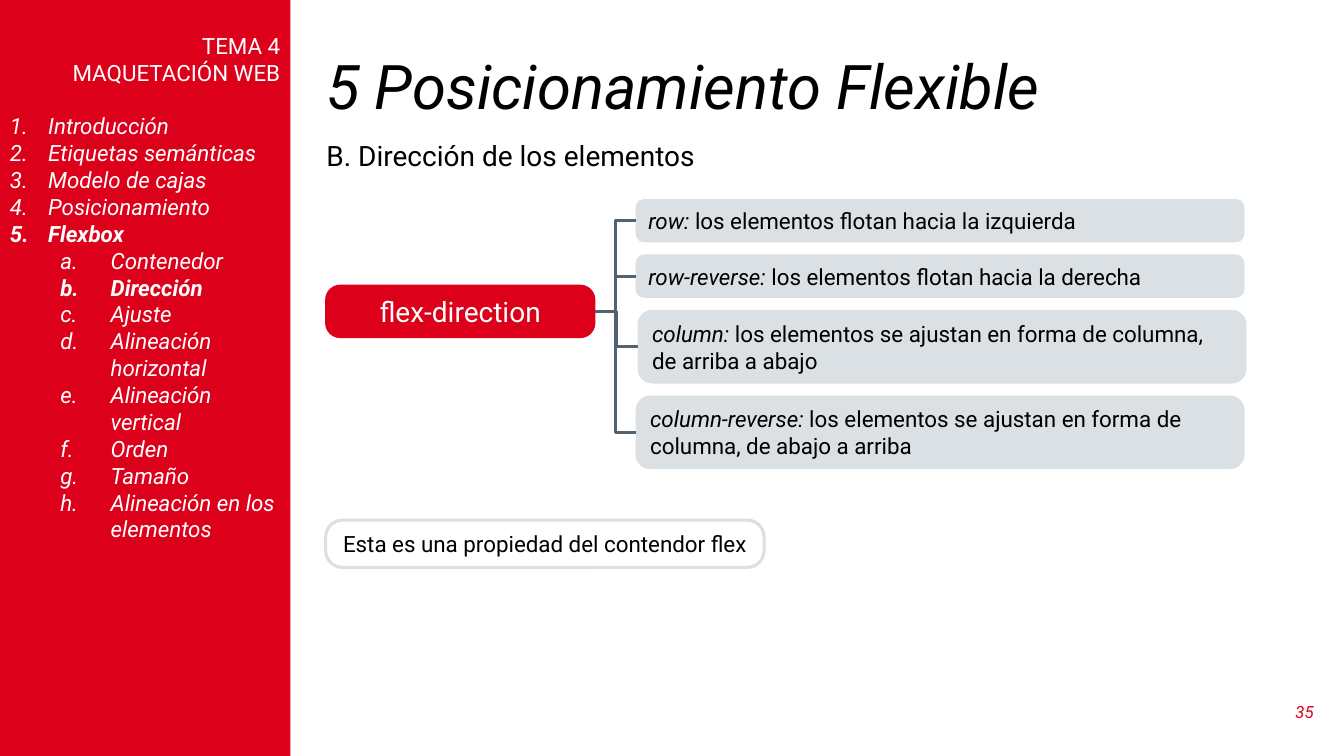
"""Build the slide on flexible positioning and flex-direction."""
from dataclasses import dataclass

from lxml.etree import SubElement
from pptx import Presentation
from pptx.dml.color import RGBColor as Rgb
from pptx.enum.shapes import MSO_CONNECTOR as Link, MSO_SHAPE as Form
from pptx.enum.text import MSO_ANCHOR as Anchor, PP_ALIGN as Align
from pptx.oxml.ns import qn
from pptx.util import Inches, Pt

HUES = {"red": "DC001B", "gray": "DAE0E4", "slate": "516270",
        "white": "FFFFFF", "black": "000000"}
FONT = "Roboto"
WIDE, HIGH = Inches(13.333), Inches(7.5)
LEFT, SIDE, GAP = 23.55, 24.23, 1.73


@dataclass
class Box:
    """Place in percent of the slide's width and height."""
    x: float
    y: float
    w: float
    h: float

    def span(self) -> tuple:
        return (round(self.x * WIDE / 100), round(self.y * HIGH / 100),
                round(self.w * WIDE / 100), round(self.h * HIGH / 100))


@dataclass
class Item:
    text: str
    bold: bool = False


@dataclass
class Value:
    name: str
    note: str
    h: float
    x: float = 47.33


TOPICS = [Item("Introducción"), Item("Etiquetas semánticas"),
          Item("Modelo de cajas"), Item("Posicionamiento"),
          Item("Flexbox", True)]
PARTS = [Item("Contenedor"), Item("Dirección", True), Item("Ajuste"),
         Item("Alineación horizontal"), Item("Alineación vertical"),
         Item("Orden"), Item("Tamaño"), Item("Alineación en los elementos")]
VALUES = [
    Value("row:", " los elementos flotan hacia la izquierda", 5.6),
    Value("row-reverse:", " los elementos flotan hacia la derecha", 5.6),
    Value("column:", " los elementos se ajustan en forma de columna, "
          "de arriba a abajo", 9.6, 47.48),
    Value("column-reverse:", " los elementos se ajustan en forma de columna, "
          "de abajo a arriba", 9.6),
]


def tint(hue: str) -> Rgb:
    return Rgb.from_string(HUES[hue])


def write(para, text: str, *, size: float = 16, hue: str = "black",
          bold: bool = False, slant: bool = False, align=Align.LEFT) -> None:
    para.alignment = align
    run = para.add_run()
    run.text = text
    font = run.font
    font.name, font.size = FONT, Pt(size)
    font.bold, font.italic = bold, slant
    font.color.rgb = tint(hue)


def label(slide, box: Box, anchor=Anchor.TOP):
    frame = slide.shapes.add_textbox(*box.span()).text_frame
    frame.word_wrap = True
    frame.vertical_anchor = anchor
    return frame.paragraphs[0]


def panel(slide, box: Box, fill: str = "", edge: str = "",
          bend: float = 0, width: float = 0.75):
    form = Form.ROUNDED_RECTANGLE if bend else Form.RECTANGLE
    shape = slide.shapes.add_shape(form, *box.span())
    shape.shadow.inherit = False
    if bend:
        shape.adjustments[0] = bend
    if fill:
        shape.fill.solid()
        shape.fill.fore_color.rgb = tint(fill)
    else:
        shape.fill.background()
    if edge:
        shape.line.color.rgb = tint(edge)
        shape.line.width = Pt(width)
    else:
        shape.line.fill.background()
    shape.text_frame.word_wrap = True
    shape.text_frame.vertical_anchor = Anchor.MIDDLE
    return shape


def join(slide, start, end) -> None:
    line = slide.shapes.add_connector(Link.ELBOW, 0, 0, 0, 0)
    line.begin_connect(start, 3)
    line.end_connect(end, 1)
    line.line.color.rgb = tint("slate")
    line.line.width = Pt(2.25)
    SubElement(line._element.spPr, qn("a:effectLst"))


def outline(frame, items: list, level: int, left: float, hang: float,
            kind: str) -> None:
    for item in items:
        para = frame.add_paragraph()
        para.level = level
        write(para, item.text, hue="white", bold=item.bold, slant=True)
        props = para._p.get_or_add_pPr()
        props.set("marL", str(Inches(left)))
        props.set("indent", str(-Inches(hang)))
        SubElement(props, qn("a:buFont"), typeface=FONT)
        SubElement(props, qn("a:buAutoNum"), type=kind)


def menu(slide) -> None:
    frame = panel(slide, Box(0, 0, 21.6, 100), "red").text_frame
    frame.vertical_anchor = Anchor.TOP
    frame.margin_top = Inches(0.32)
    head = frame.paragraphs[0]
    write(head, "TEMA 4", hue="white", align=Align.RIGHT)
    write(frame.add_paragraph(), "MAQUETACIÓN WEB", hue="white",
          align=Align.RIGHT)
    outline(frame, TOPICS, 0, 0.38, 0.38, "arabicPeriod")
    frame.paragraphs[2].space_before = Pt(19)
    outline(frame, PARTS, 1, 1, 0.5, "alphaLcPeriod")


def tree(slide) -> None:
    root = panel(slide, Box(SIDE, 37.73, 20.03, 6.93), "red", "red", 0.277)
    write(root.text_frame.paragraphs[0], "flex-direction", size=20,
          hue="white", align=Align.CENTER)
    top = 26.4
    for value in VALUES:
        leaf = panel(slide, Box(value.x, top, 45.23, value.h),
                     "gray", "gray", 0.195)
        para = leaf.text_frame.paragraphs[0]
        write(para, value.name, slant=True)
        write(para, value.note)
        join(slide, root, leaf)
        top += value.h + GAP


def main() -> None:
    deck = Presentation()
    deck.slide_width, deck.slide_height = WIDE, HIGH
    slide = deck.slides.add_slide(deck.slide_layouts[6])
    menu(slide)
    title = label(slide, Box(LEFT, 6.67, 74.93, 10.4), Anchor.MIDDLE)
    title.line_spacing = 0.9
    write(title, "5 Posicionamiento Flexible", size=44, slant=True)
    write(label(slide, Box(LEFT, 17.73, 55.95, 5.87)),
          "B. Dirección de los elementos", size=20)
    tree(slide)
    note = panel(slide, Box(SIDE, 68.8, 32.63, 6.27), "", "gray", 0.357, 2.25)
    write(note.text_frame.paragraphs[0],
          "Esta es una propiedad del contendor flex", align=Align.CENTER)
    write(label(slide, Box(94.65, 91.47, 3.83, 5.33), Anchor.MIDDLE),
          "35", size=12, hue="red", slant=True, align=Align.RIGHT)
    deck.save("out.pptx")


if __name__ == "__main__":
    main()
